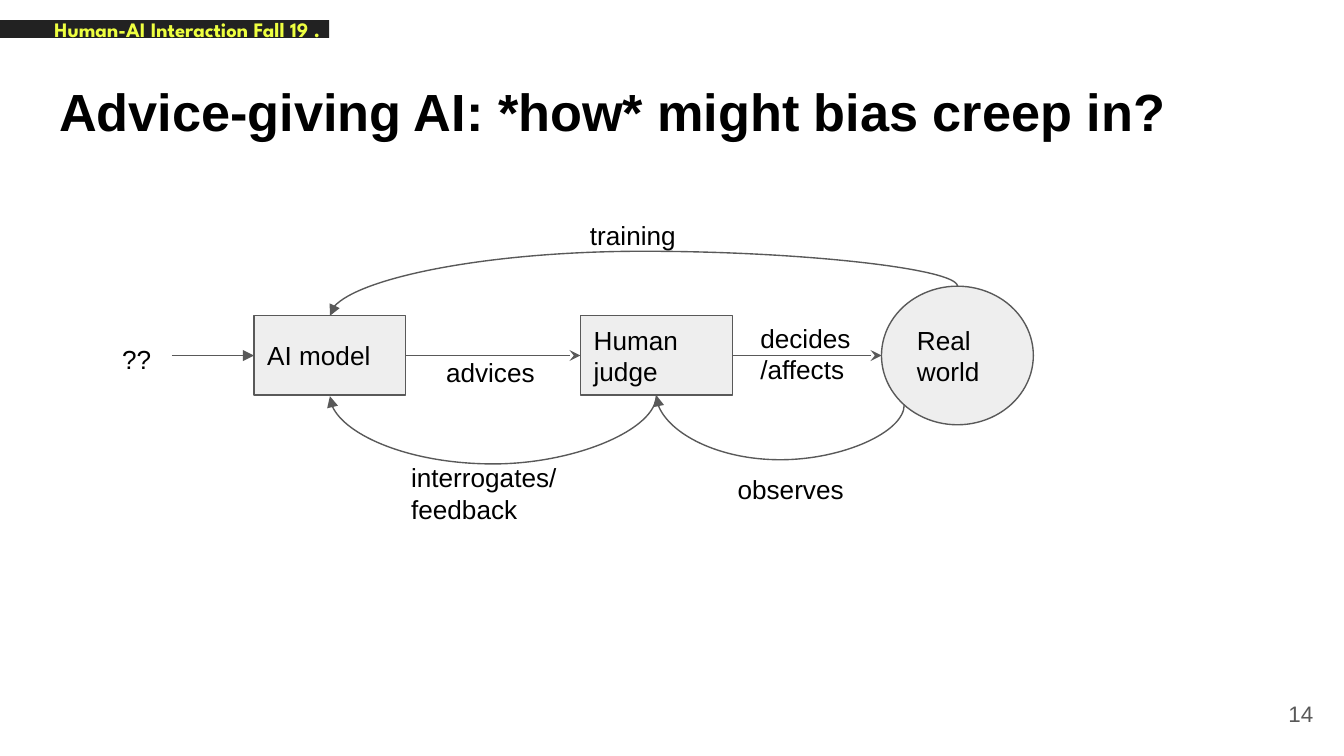
from lxml import etree
from pptx import Presentation
from pptx.dml.color import RGBColor
from pptx.enum.shapes import MSO_CONNECTOR as Connector, MSO_SHAPE as Shape
from pptx.enum.text import MSO_ANCHOR as Anchor, MSO_AUTO_SIZE as AutoSize, PP_ALIGN as Align
from pptx.oxml.ns import qn
from pptx.util import Cm, Pt

BLACK = RGBColor(0x00, 0x00, 0x00)
GRAY = RGBColor(0x59, 0x59, 0x59)
LIGHT = RGBColor(0xEE, 0xEE, 0xEE)
DARK = RGBColor(0x22, 0x22, 0x22)
YELLOW = RGBColor(0xEE, 0xFF, 0x41)

LABEL = {"name": "Arial", "size": Pt(14), "bold": False}
TITLE = {"name": "Arial", "size": Pt(28), "bold": True}
NUMBER = {"name": "Arial", "size": Pt(12), "bold": False}
COURSE = {"name": "League Spartan", "size": Pt(11), "bold": True}
INSET = Cm(0.25)

# Node grid, in centimetres
NODE_WIDTH, NODE_HEIGHT = 2.87, 1.5
NODE_TOP = 5.97
MIDDLE = NODE_TOP + NODE_HEIGHT / 2
BOTTOM = NODE_TOP + NODE_HEIGHT
MODEL_LEFT, JUDGE_LEFT, WORLD_LEFT = 4.8, 10.97, 16.66
MODEL_X, JUDGE_X, WORLD_X = (
    left + NODE_WIDTH / 2 for left in (MODEL_LEFT, JUDGE_LEFT, WORLD_LEFT))
WORLD_TOP, WORLD_HEIGHT = 5.41, 2.62

# Text, left, top, width, height
LABELS = [
    ("??", 2.06, 6.25, 1.35, 0.91),
    ("advices", 8.18, 6.48, 2.29, 1.19),
    ("decides\n/affects", 14.12, 5.84, 2.29, 1.19),
    ("training", 10.9, 3.89, 3.61, 1.19),
    ("interrogates/ feedback", 7.52, 8.48, 3.61, 1.19),
    ("observes", 13.69, 8.69, 3.61, 1.19),
]

# Start, end, height of the bow
CURVES = [
    ((WORLD_X, WORLD_TOP), (MODEL_X, NODE_TOP), 4.75),
    ((JUDGE_X, BOTTOM), (MODEL_X, BOTTOM + 0.02), 8.77),
    ((17.09, 7.65), (JUDGE_X, BOTTOM), 8.69),
]


def write(shape, text, font, color=BLACK, anchor=Anchor.TOP, align=Align.LEFT):
    """Fill a shape with formatted text."""
    frame = shape.text_frame
    frame.text = text
    frame_format = {
        "word_wrap": True, "auto_size": AutoSize.NONE, "vertical_anchor": anchor,
        "margin_left": INSET, "margin_right": INSET,
        "margin_top": INSET, "margin_bottom": INSET,
    }
    for name, value in frame_format.items():
        setattr(frame, name, value)
    for paragraph in frame.paragraphs:
        paragraph.alignment = align
        for run in paragraph.runs:
            for name, value in font.items():
                setattr(run.font, name, value)
            run.font.color.rgb = color


def add_text(slide, text, left, top, width, height, font=LABEL, **options):
    box = slide.shapes.add_textbox(Cm(left), Cm(top), Cm(width), Cm(height))
    write(box, text, font, **options)
    return box


def add_node(slide, kind, text, left, top, height):
    node = slide.shapes.add_shape(kind, Cm(left), Cm(top), Cm(NODE_WIDTH), Cm(height))
    node.shadow.inherit = False
    node.fill.solid()
    node.fill.fore_color.rgb = LIGHT
    node.line.color.rgb = GRAY
    node.line.width = Pt(0.75)
    write(node, text, LABEL, anchor=Anchor.MIDDLE)
    return node


def add_arrow(slide, kind, start, end, head):
    points = [Cm(value) for value in (*start, *end)]
    arrow = slide.shapes.add_connector(kind, *points)
    arrow.line.color.rgb = GRAY
    arrow.line.width = Pt(0.75)
    etree.SubElement(arrow.line._get_or_add_ln(), qn("a:tailEnd"), type=head)
    etree.SubElement(arrow._element.spPr, qn("a:effectLst"))
    return arrow


def add_curve(slide, start, end, bow):
    """Draw a curved arrow that leaves and arrives vertically, turned by 90 degrees."""
    (x1, y1), (x2, y2) = start, end
    width, height = abs(y2 - y1), abs(x2 - x1)
    left, top = (x1 + x2 - width) / 2, (y1 + y2 - height) / 2
    curve = add_arrow(slide, Connector.CURVE, (left, top),
                      (left + width, top + height), "triangle")
    properties = curve._element.spPr
    transform = properties.find(qn("a:xfrm"))
    transform.set("rot", str(90 * 60000))
    if y2 < y1:
        transform.set("flipH", "1")
    geometry = properties.find(qn("a:prstGeom"))
    guides = geometry.find(qn("a:avLst"))
    if guides is None:
        guides = etree.SubElement(geometry, qn("a:avLst"))
    adjustment = round((bow - y1) / (y2 - y1) * 100000)
    etree.SubElement(guides, qn("a:gd"), name="adj1", fmla=f"val {adjustment}")


def add_header(slide):
    bar = add_text(slide, "Human-AI Interaction Fall 19 .", 0, 0.38, 6.22, 0.34,
                   COURSE, color=YELLOW, anchor=Anchor.MIDDLE)
    bar.fill.solid()
    bar.fill.fore_color.rgb = DARK
    margins = {"margin_left": Cm(1.03), "margin_right": 0,
               "margin_top": 0, "margin_bottom": 0}
    for name, value in margins.items():
        setattr(bar.text_frame, name, value)


def add_title(slide, text):
    title = slide.shapes.title
    place = {"left": Cm(0.87), "top": Cm(1.24), "width": Cm(23.67), "height": Cm(1.6)}
    for name, value in place.items():
        setattr(title, name, value)
    write(title, text, TITLE)


def main():
    presentation = Presentation()
    presentation.slide_width = Cm(25.4)
    presentation.slide_height = Cm(14.29)
    slide = presentation.slides.add_slide(presentation.slide_layouts[5])

    # Header, title and page number
    add_header(slide)
    add_title(slide, "Advice-giving AI: *how* might bias creep in?")
    add_text(slide, "14", 23.55, 12.95, 1.52, 1.09, NUMBER, color=GRAY,
             anchor=Anchor.MIDDLE, align=Align.RIGHT)

    # Nodes
    model = add_node(slide, Shape.RECTANGLE, "AI model", MODEL_LEFT, NODE_TOP, NODE_HEIGHT)
    judge = add_node(slide, Shape.RECTANGLE, "Human judge", JUDGE_LEFT, NODE_TOP, NODE_HEIGHT)
    add_node(slide, Shape.OVAL, "Real world", WORLD_LEFT, WORLD_TOP, WORLD_HEIGHT)

    # Straight arrows from left to right
    source = add_arrow(slide, Connector.STRAIGHT, (3.25, MIDDLE), (MODEL_LEFT, MIDDLE), "triangle")
    source.end_connect(model, 1)
    advice = add_arrow(slide, Connector.STRAIGHT, (MODEL_LEFT + NODE_WIDTH, MIDDLE),
                       (JUDGE_LEFT, MIDDLE), "stealth")
    advice.begin_connect(model, 3)
    advice.end_connect(judge, 1)
    decision = add_arrow(slide, Connector.STRAIGHT, (JUDGE_LEFT + NODE_WIDTH, MIDDLE),
                         (WORLD_LEFT, WORLD_TOP + WORLD_HEIGHT / 2), "stealth")
    decision.begin_connect(judge, 3)

    # Feedback curves and labels
    for start, end, bow in CURVES:
        add_curve(slide, start, end, bow)
    for label in LABELS:
        add_text(slide, *label)

    presentation.save("out.pptx")


if __name__ == "__main__":
    main()
